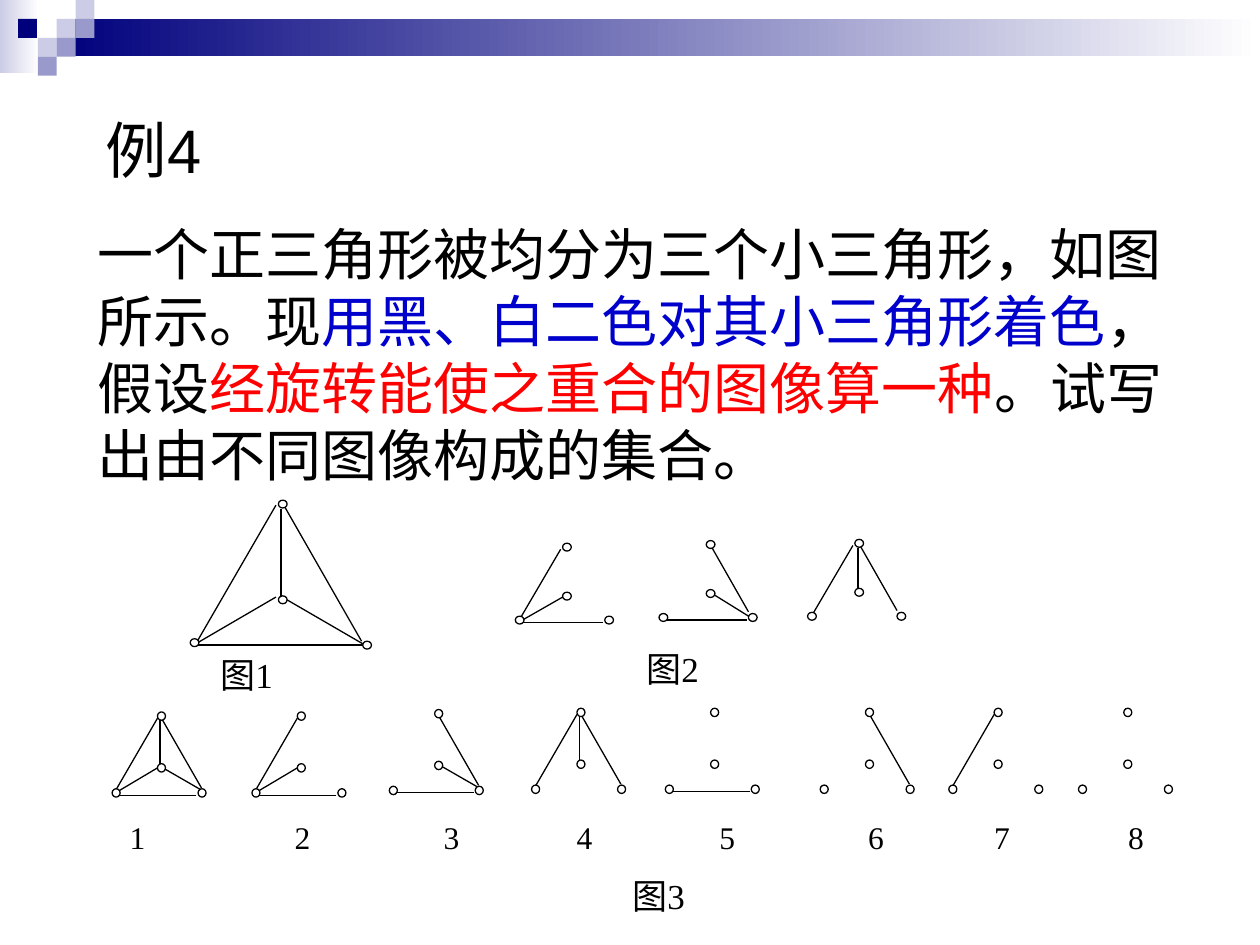
from dataclasses import dataclass

from lxml import etree
from pptx import Presentation
from pptx.dml.color import RGBColor as RGB
from pptx.enum.shapes import MSO_CONNECTOR as CONN, MSO_SHAPE as SHAPE
from pptx.enum.text import MSO_ANCHOR as ANCHOR, MSO_AUTO_SIZE as AUTO, PP_ALIGN as ALIGN
from pptx.oxml.ns import qn
from pptx.util import Pt


@dataclass(frozen=True)
class Theme:
    black: RGB = RGB(0, 0, 0)
    white: RGB = RGB(255, 255, 255)
    navy: RGB = RGB(0x00, 0x00, 0x7D)
    mid: RGB = RGB(0x99, 0x99, 0xCC)
    pale: RGB = RGB(0xCC, 0xCC, 0xE6)
    blue: RGB = RGB(0, 0, 0xCC)
    red: RGB = RGB(255, 0, 0)
    sans: str = "Arial"
    serif: str = "Times New Roman"
    title: float = 35.1
    body: float = 32
    caption: float = 20
    number: float = 18
    line: float = 0.75


T = Theme()

prs = Presentation()
prs.slide_width, prs.slide_height = Pt(720), Pt(540)
s = prs.slides.add_slide(prs.slide_layouts[5])


def add_text(x, y, w, h, parts, font, size):
    """Add a wrapped text box; parts is a list of (text, colour) runs."""
    sp = s.shapes.add_textbox(Pt(x), Pt(y), Pt(w), Pt(h))
    tf = sp.text_frame
    tf.word_wrap = True
    p = tf.paragraphs[0]
    for text, color in parts:
        r = p.add_run()
        r.text = text
        r.font.name, r.font.size, r.font.color.rgb = font, Pt(size), color
    return p


def add_graph(x, y, style, edges, nodes="LRTC"):
    """Draw edges and nodes; x, y is the corner of the left node."""
    for name in edges:
        x1, y1, x2, y2 = style["edges"][name]
        c = s.shapes.add_connector(CONN.STRAIGHT, Pt(x + x1), Pt(y + y1), Pt(x + x2), Pt(y + y2))
        c.line.color.rgb, c.line.width = T.black, Pt(T.line)
        etree.SubElement(c._element.spPr, qn("a:effectLst"))
    w, h = style["node"]
    for name in nodes:
        dx, dy = style["nodes"][name]
        sp = s.shapes.add_shape(SHAPE.OVAL, Pt(x + dx), Pt(y + dy), Pt(w), Pt(h))
        sp.shadow.inherit = False
        sp.fill.solid()
        sp.fill.fore_color.rgb = T.white
        sp.line.color.rgb, sp.line.width = T.black, Pt(T.line)


# Header bands and squares
BAND, SQUARE = 10.8, 10.8
header = [
    (0, 0, 22.3, 41.8, (T.pale, T.white)),
    (32.4, BAND, 687.6, 21.4, (T.navy, T.white)),
]
squares = [
    (32.4, 10.8, T.pale), (43.2, 0, T.pale), (43.2, 10.8, T.mid), (21.6, 21.6, T.pale),
    (10.3, 10.8, T.navy), (32.4, 21.6, T.mid), (21.6, 32.4, T.mid),
]
header += [(x, y, SQUARE, SQUARE, (color,)) for x, y, color in squares]
for x, y, w, h, colors in header:
    sp = s.shapes.add_shape(SHAPE.RECTANGLE, Pt(x), Pt(y), Pt(w), Pt(h))
    sp.shadow.inherit = False
    sp.line.fill.background()
    if len(colors) == 2:
        sp.fill.gradient()
        sp.fill.gradient_angle = 0
        for stop, color, position in zip(sp.fill.gradient_stops, colors, (0, 1)):
            stop.color.rgb, stop.position = color, position
    else:
        sp.fill.solid()
        sp.fill.fore_color.rgb = colors[0]

# Title
title = s.shapes.title
title.left, title.top, title.width, title.height = Pt(53.3), Pt(59.8), Pt(635), Pt(51)
tf = title.text_frame
tf.text = "例4"
tf.auto_size, tf.vertical_anchor = AUTO.NONE, ANCHOR.MIDDLE
p = tf.paragraphs[0]
p.alignment = ALIGN.LEFT
f = p.runs[0].font
f.name, f.size, f.color.rgb = T.sans, Pt(T.title), T.black

# Problem statement
add_text(48.5, 121.7, 640.8, 170, [
    ("一个正三角形被均分为三个小三角形，如图所示。现", T.black),
    ("用黑、白二色对其小三角形着色", T.blue),
    ("，假设", T.black),
    ("经旋转能使之重合的图像算一种", T.red),
    ("。试写出由不同图像构成的集合。", T.black),
], T.sans, T.body)

# Graph geometry: nodes Left, Right, Top, Centre;
# edges Base, Left side, Right side, Vertical, spoke from left (p) and right (q)
large = {
    "node": (5, 4.5),
    "nodes": {"L": (0, 0), "R": (98.6, 1.4), "T": (50.4, -79.2), "C": (50.4, -24.5)},
    "edges": {"B": (98.2, 3.6, 2, 3.6), "L": (49, -76.3, 3.6, 2.2),
              "R": (97.9, 1.4, 52.6, -77.8), "V": (51.8, -74.2, 51.8, -23.8),
              "p": (3, 3, 49, -23.8), "q": (98.6, 2.9, 52.6, -23.8)},
}
medium = {
    "node": (5, 4.5),
    "nodes": {"L": (0, 0), "R": (51.1, 0), "T": (27, -41.7), "C": (27, -13.7)},
    "edges": {"B": (50.2, 3.7, 1.5, 3.7), "L": (25.9, -38.2, 2.7, 1.4),
              "R": (51.1, -1, 28.8, -40.2), "V": (28.8, -36.7, 28.8, -9.4),
              "p": (2.9, 2.9, 28.1, -11.5), "q": (55.2, 4, 31, -11)},
}
small = {
    "node": (4.6, 4.8),
    "nodes": {"L": (0, 0), "R": (49.1, 0), "T": (25.9, -43.9), "C": (25.9, -14.3)},
    "edges": {"B": (48.2, 3.7, 1.5, 3.7), "L": (25.9, -40.3, 2, 1),
              "R": (51, -0.5, 27.2, -42), "V": (27.3, -39.3, 27.3, -11),
              "p": (2.2, 2.2, 26.6, -12.3), "q": (52.8, 1.8, 28.3, -12.3)},
}

# Figures 1, 2 and 3
graphs = [
    (108.7, 365, large, "VBRLpq"),
    (294.5, 352.1, medium, "BLp"),
    (376.6, 350.6, medium, "BRq"),
    (461.5, 349.9, medium, "VRL"),
    (64.1, 450.7, small, "VBLRpq"),
    (144, 450.7, small, "BLp"),
    (222.5, 449.3, small, "BRq"),
    (303.8, 448.6, small, "VRL"),
    (380.2, 448.6, small, "B"),
    (468.7, 448.6, small, "R"),
    (542.2, 448.6, small, "L"),
    (616.3, 448.6, small, ""),
]
for x, y, style, edges in graphs:
    add_graph(x, y, style, edges)

# Captions
captions = [
    ("图1", 118.8, 370.1, 85.7, 36),
    ("图2", 362.2, 366.5, 107.3, 28.8),
    ("图3", 354.2, 496.1, 103, 43.9),
]
for text, x, y, w, h in captions:
    add_text(x, y, w, h, [(text, T.black)], T.serif, T.caption).alignment = ALIGN.JUSTIFY

# Numbers under figure 3, set on tab stops
p = add_text(67, 463.7, 604.1, 41, [("\t".join("12345678"), T.black)], T.serif, T.number)
tabs = etree.SubElement(p._p.get_or_add_pPr(), qn("a:tabLst"))
for pos in (94.3, 179.4, 255.4, 337, 422, 494, 570.5):
    etree.SubElement(tabs, qn("a:tab"), pos=str(Pt(pos)), algn="l")

prs.save("out.pptx")
